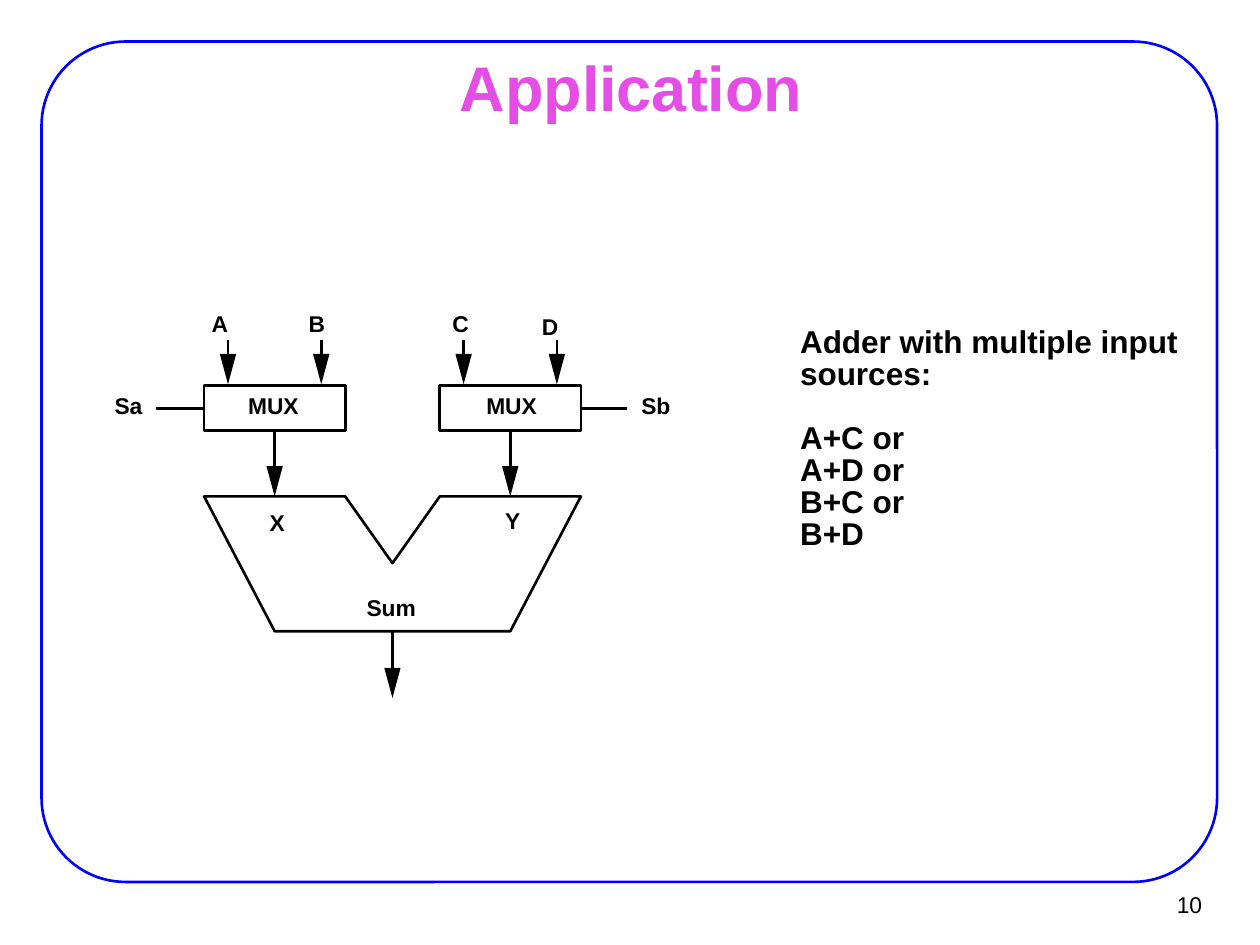
from dataclasses import dataclass

from lxml import etree
from pptx import Presentation
from pptx import util as u
from pptx.dml.color import RGBColor
from pptx.enum import shapes, text
from pptx.oxml.ns import qn


@dataclass(frozen=True)
class Theme:
    font: str = "Arial"
    ink: RGBColor = RGBColor(0, 0, 0)
    paper: RGBColor = RGBColor(255, 255, 255)
    frame: RGBColor = RGBColor(0, 0, 255)
    title: RGBColor = RGBColor(0xE4, 0x4E, 0xE4)
    title_size: int = 36
    body_size: int = 18
    label_size: int = 13
    line: float = 1.5


@dataclass(frozen=True)
class Label:
    words: str
    x: float
    y: float
    w: float


@dataclass(frozen=True)
class Arrow:
    x: float
    top: float
    tip: float


T = Theme()
MUX_X = (1.62, 3.49)
MUX_Y, MUX_W, MUX_H = 3.06, 1.12, 0.36
ALU_TOP, ALU_BOTTOM = 3.94, 5.01
HEAD_W, HEAD_H = 0.13, 0.24

LABELS = [
    Label("MUX", 1.97, 3.11, 0.4), Label("MUX", 3.86, 3.11, 0.4),
    Label("X", 2.14, 4.04, 0.12), Label("Y", 4.01, 4.02, 0.12),
    Label("Sum", 2.91, 4.71, 0.39),
    Label("A", 1.68, 2.46, 0.13), Label("B", 2.45, 2.46, 0.13),
    Label("C", 3.59, 2.46, 0.13), Label("D", 4.3, 2.48, 0.13),
    Label("Sa", 0.91, 3.11, 0.22), Label("Sb", 5.09, 3.11, 0.23),
]
INPUTS = [Arrow(x + dx, 2.7, 3.05) for x in MUX_X for dx in (0.19, 0.93)]
BODY = ["Adder with multiple input", "sources:", "A+C or", "A+D or", "B+C or", "B+D"]


def add_text(s, lines: list[str], x: float, y: float, w: float, h: float, size: int,
             color: RGBColor = T.ink, bold: bool = True, align=text.PP_ALIGN.LEFT,
             anchor=text.MSO_ANCHOR.TOP, inset: tuple = (0, 0), wrap: bool = False):
    tf = s.shapes.add_textbox(u.Inches(x), u.Inches(y), u.Inches(w), u.Inches(h)).text_frame
    tf.text = "\n".join(lines)
    tf.word_wrap = wrap
    tf.vertical_anchor = anchor
    tf.margin_left = tf.margin_right = u.Inches(inset[0])
    tf.margin_top = tf.margin_bottom = u.Inches(inset[1])
    for p in tf.paragraphs:
        p.alignment = align
        for r in p.runs:
            r.font.name, r.font.size, r.font.bold = T.font, u.Pt(size), bold
            r.font.color.rgb = color
    return tf


def add_box(s, kind, x: float, y: float, w: float, h: float, color: RGBColor):
    sp = s.shapes.add_shape(kind, u.Inches(x), u.Inches(y), u.Inches(w), u.Inches(h))
    sp.shadow.inherit = False
    sp.line.color.rgb, sp.line.width = color, u.Pt(T.line)
    return sp


def add_line(s, x1: float, y1: float, x2: float, y2: float):
    c = s.shapes.add_connector(shapes.MSO_CONNECTOR.STRAIGHT, u.Inches(x1), u.Inches(y1),
                               u.Inches(x2), u.Inches(y2))
    c.line.color.rgb, c.line.width = T.ink, u.Pt(T.line)
    etree.SubElement(c._element.spPr, qn("a:effectLst"))
    return c


def add_polygon(s, points: list[tuple[float, float]]):
    pts = [(u.Inches(x), u.Inches(y)) for x, y in points]
    fb = s.shapes.build_freeform(*pts[0])
    fb.add_line_segments(pts[1:], close=True)
    sp = fb.convert_to_shape()
    sp.shadow.inherit = False
    return sp


def add_arrow(s, a: Arrow):
    neck = a.tip - HEAD_H
    head = add_polygon(s, [(a.x, a.tip), (a.x - HEAD_W / 2, neck), (a.x + HEAD_W / 2, neck)])
    head.fill.solid()
    head.fill.fore_color.rgb = T.ink
    head.line.fill.background()
    return add_line(s, a.x, a.top, a.x, neck)


def add_adder(s):
    left, right = MUX_X
    middle = (left + right + MUX_W) / 2
    sp = add_polygon(s, [
        (left, ALU_TOP), (left + MUX_W, ALU_TOP), (middle, 4.47), (right, ALU_TOP),
        (right + MUX_W, ALU_TOP), (right + MUX_W / 2, ALU_BOTTOM), (left + MUX_W / 2, ALU_BOTTOM),
    ])
    sp.fill.background()
    sp.line.color.rgb, sp.line.width = T.ink, u.Pt(T.line)
    add_arrow(s, Arrow(middle, ALU_BOTTOM, 5.54))


def add_mux(s, x: float, side: int, select_x: float):
    sp = add_box(s, shapes.MSO_SHAPE.RECTANGLE, x, MUX_Y, MUX_W, MUX_H, T.ink)
    sp.fill.solid()
    sp.fill.fore_color.rgb = T.paper
    add_arrow(s, Arrow(x + MUX_W / 2, MUX_Y + MUX_H, ALU_TOP)).begin_connect(sp, 2)
    mid = MUX_Y + MUX_H / 2
    add_line(s, x, mid, select_x, mid).begin_connect(sp, side)


def main():
    prs = Presentation()
    prs.slide_width, prs.slide_height = u.Inches(10), u.Inches(7.5)
    s = prs.slides.add_slide(prs.slide_layouts[6])

    frame = add_box(s, shapes.MSO_SHAPE.ROUNDED_RECTANGLE, 0.33, 0.33, 9.33, 6.67, T.frame)
    frame.adjustments[0] = 0.1
    frame.fill.background()

    middle = text.MSO_ANCHOR.MIDDLE
    add_text(s, ["10"], 9.02, 6.99, 0.61, 0.37, T.label_size, bold=False,
             align=text.PP_ALIGN.RIGHT, anchor=middle, inset=(0.09, 0.04))
    add_text(s, ["Application"], 0.76, 0.44, 8.5, 0.49, T.title_size, T.title,
             align=text.PP_ALIGN.CENTER, anchor=middle, inset=(0.11, 0.06), wrap=True)
    body = add_text(s, BODY, 6.28, 2.57, 3.14, 2.1, T.body_size, inset=(0.07, 0.03))
    for p in body.paragraphs:
        p.line_spacing = 0.85
    body.paragraphs[2].space_before = u.Pt(T.body_size)

    add_mux(s, MUX_X[0], 1, 1.24)
    add_mux(s, MUX_X[1], 3, 4.98)
    add_adder(s)
    for a in INPUTS:
        add_arrow(s, a)
    for b in LABELS:
        add_text(s, [b.words], b.x, b.y, b.w, 0.22, T.label_size)

    prs.save("out.pptx")


if __name__ == "__main__":
    main()
